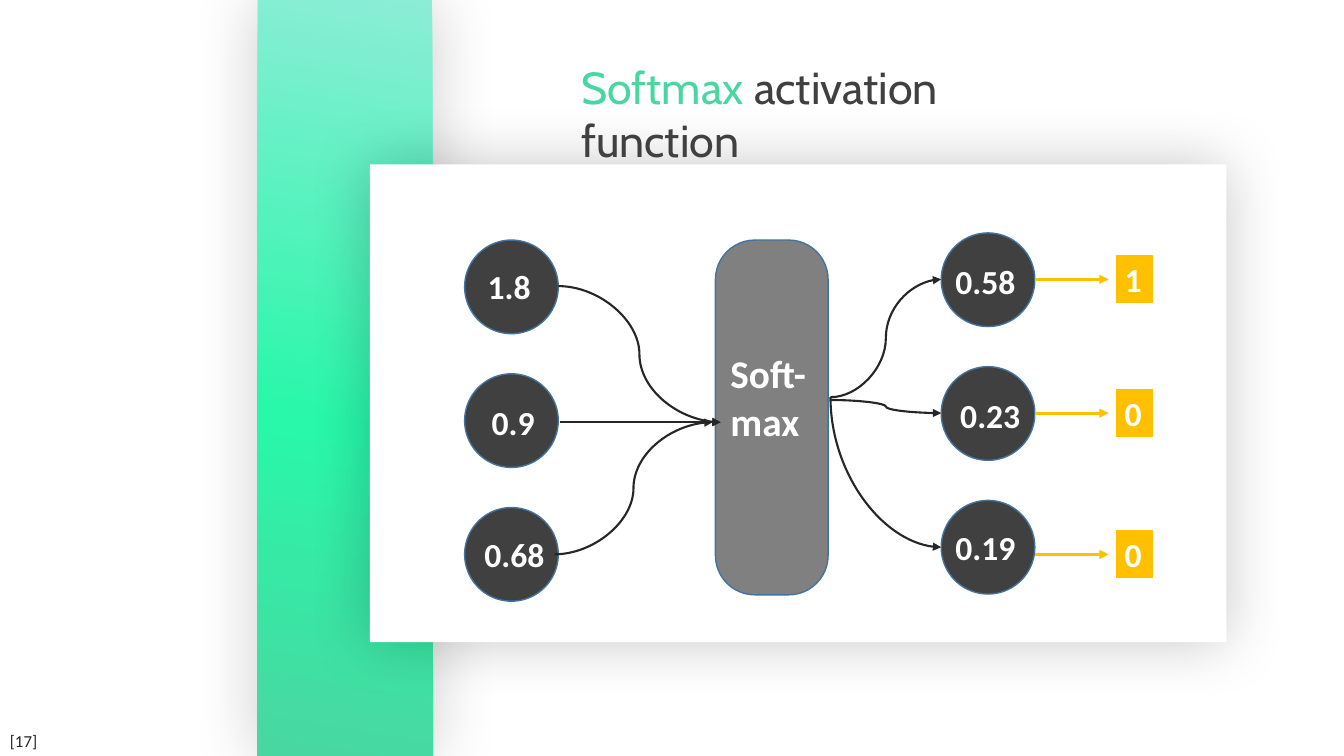
from dataclasses import dataclass

from lxml import etree
from pptx import Presentation
from pptx.dml.color import RGBColor
from pptx.enum.shapes import MSO_CONNECTOR, MSO_SHAPE
from pptx.enum.text import MSO_ANCHOR, MSO_AUTO_SIZE, PP_ALIGN
from pptx.oxml.ns import qn
from pptx.shapes.autoshape import Shape
from pptx.shapes.connector import Connector
from pptx.slide import Slide
from pptx.util import Cm, Pt

RECTANGLE = MSO_SHAPE.RECTANGLE
ROUNDED = MSO_SHAPE.ROUNDED_RECTANGLE
OVAL = MSO_SHAPE.OVAL
STRAIGHT = MSO_CONNECTOR.STRAIGHT
CURVE = MSO_CONNECTOR.CURVE
GROW = MSO_AUTO_SIZE.SHAPE_TO_FIT_TEXT
TOP = MSO_ANCHOR.TOP
LEFT = PP_ALIGN.LEFT


@dataclass(frozen=True)
class Theme:
    white: str = "FFFFFF"
    dark: str = "404040"
    ink: str = "262626"
    grey: str = "808080"
    outline: str = "43739E"
    green: str = "49D7A1"
    amber: str = "FFC000"
    shadow: str = "000000"
    band_stops: tuple[tuple[int, str], ...] = ((0, "8BEDD6"), (56, "29F7A9"), (100, "49D7A1"))
    title_font: str = "Cabin"
    body_font: str = "Calibri"
    title_size: int = 32
    block_size: int = 28
    value_size: int = 24
    note_size: int = 12


THEME = Theme()


@dataclass(frozen=True)
class Box:
    left: float
    top: float
    width: float
    height: float


@dataclass(frozen=True)
class Span:
    text: str
    size: int
    color: str
    font: str = THEME.body_font
    bold: bool = False


@dataclass(frozen=True)
class Arrow:
    start: tuple[float, float]
    end: tuple[float, float]
    color: str = THEME.ink
    weight: float = 1.5
    kind: MSO_CONNECTOR = CURVE


NODE_SIZE = 2.36
NODE_STEP = 3.37
VALUE_HEIGHT = 1.27
INPUT_CORNER = (11.71, 6.05)
OUTPUT_CORNER = (23.72, 5.87)

# Text, left, top and width of each value
VALUES = (
    ("1.8", 12.04, 6.58, 1.96),
    ("0.9", 12.14, 10.01, 1.96),
    ("0.68", 11.96, 13.34, 2.03),
    ("0.58", 23.83, 6.45, 2.34),
    ("0.23", 23.95, 9.83, 2.24),
    ("0.19", 23.83, 13.16, 2.26),
)
# Text and arrow height of each one-hot result
RESULTS = (("1", 7.04), ("0", 10.41), ("0", 13.97))

ARROWS = (
    Arrow((14.07, 7.21), (18.16, 10.64)),
    Arrow((14.1, 10.64), (18.16, 10.64), kind=STRAIGHT),
    Arrow((13.97, 13.97), (17.96, 10.64)),
    Arrow((20.93, 10.01), (23.72, 7.04)),
    Arrow((20.93, 10.08), (23.72, 10.41)),
)
BEND = Arrow((20.93, 10.01), (23.72, 13.79))


def rgb(color: str) -> RGBColor:
    return RGBColor.from_string(color)


def add_block(page: Slide, kind: MSO_SHAPE, box: Box, fill: str,
              line: str | None = None, weight: float = 1) -> Shape:
    block = page.shapes.add_shape(kind, Cm(box.left), Cm(box.top), Cm(box.width), Cm(box.height))
    block.shadow.inherit = False
    block.fill.solid()
    block.fill.fore_color.rgb = rgb(fill)
    if line is None:
        block.line.fill.background()
    else:
        block.line.color.rgb = rgb(line)
        block.line.width = Pt(weight)
    return block


def write(block: Shape, *spans: Span) -> None:
    frame = block.text_frame
    frame.word_wrap = True
    frame.auto_size = GROW
    frame.vertical_anchor = TOP
    para = frame.paragraphs[0]
    para.alignment = LEFT
    for span in spans:
        run = para.add_run()
        run.text = span.text
        run.font.name = span.font
        run.font.size = Pt(span.size)
        run.font.bold = span.bold
        run.font.color.rgb = rgb(span.color)


def add_label(page: Slide, box: Box, *spans: Span) -> None:
    label = page.shapes.add_textbox(Cm(box.left), Cm(box.top), Cm(box.width), Cm(box.height))
    write(label, *spans)


def value_span(text: str, size: int = THEME.value_size) -> Span:
    return Span(text, size, THEME.white, bold=True)


def add_glow(block: Shape, blur: int, opacity: int) -> None:
    """Give the block a soft shadow spreading evenly on all sides."""
    effects = block.element.spPr.find(qn("a:effectLst"))
    shadow = etree.SubElement(effects, qn("a:outerShdw"), blurRad=str(Pt(blur)),
                              dist="0", dir="0", algn="ctr", rotWithShape="0")
    color = etree.SubElement(shadow, qn("a:srgbClr"), val=THEME.shadow)
    etree.SubElement(color, qn("a:alpha"), val=str(opacity * 1000))


def add_band(page: Slide) -> None:
    band = add_block(page, RECTANGLE, Box(6.5, 0, 4.39, 19.05), THEME.green)
    band.fill.gradient()
    band.fill.gradient_angle = 280
    properties = band.element.spPr
    properties.find(qn("a:xfrm")).set("flipH", "1")
    stops = properties.find(qn("a:gradFill")).find(qn("a:gsLst"))
    for stop in list(stops):
        stops.remove(stop)
    for position, color in THEME.band_stops:
        stop = etree.SubElement(stops, qn("a:gs"), pos=str(position * 1000))
        etree.SubElement(stop, qn("a:srgbClr"), val=color)
    add_glow(band, 48, 20)


def add_arrow(page: Slide, arrow: Arrow) -> Connector:
    link = page.shapes.add_connector(arrow.kind, *(Cm(v) for v in arrow.start + arrow.end))
    link.line.color.rgb = rgb(arrow.color)
    link.line.width = Pt(arrow.weight)
    properties = link.element.spPr
    etree.SubElement(properties.find(qn("a:ln")), qn("a:tailEnd"), type="triangle")
    etree.SubElement(properties, qn("a:effectLst"))
    return link


def add_bend(page: Slide, arrow: Arrow) -> None:
    """Draw a single-bend curve that leaves downwards and arrives sideways."""
    link = add_arrow(page, arrow)
    center_x, center_y = link.left + link.width // 2, link.top + link.height // 2
    link.width, link.height = link.height, link.width
    link.left, link.top = center_x - link.width // 2, center_y - link.height // 2
    link.rotation = 270
    properties = link.element.spPr
    properties.find(qn("a:xfrm")).set("flipH", "1")
    properties.find(qn("a:prstGeom")).set("prst", "curvedConnector2")


def main() -> None:
    deck = Presentation()
    deck.slide_width, deck.slide_height = Cm(33.87), Cm(19.05)
    page = deck.slides.add_slide(deck.slide_layouts[6])

    add_band(page)
    panel = add_block(page, RECTANGLE, Box(9.32, 4.14, 21.59, 12.04), THEME.white)
    add_glow(panel, 45, 21)
    add_label(page, Box(14.4, 1.37, 13.03, 1.63),
              Span("Softmax", THEME.title_size, THEME.green, THEME.title_font),
              Span(" activation function", THEME.title_size, THEME.dark, THEME.title_font))
    add_label(page, Box(0, 18.29, 1.32, 0.76), Span("[17]", THEME.note_size, THEME.ink))

    for left, top in (INPUT_CORNER, OUTPUT_CORNER):
        for row in range(3):
            node = Box(left, top + row * NODE_STEP, NODE_SIZE, NODE_SIZE)
            add_block(page, OVAL, node, THEME.dark, THEME.outline)
    softmax = add_block(page, ROUNDED, Box(18.03, 6.05, 2.84, 8.94), THEME.grey, THEME.outline)
    softmax.adjustments[0] = 0.35

    for text, left, top, width in VALUES:
        add_label(page, Box(left, top, width, VALUE_HEIGHT), value_span(text))
    add_label(page, Box(18.16, 8.69, 2.77, 2.64), value_span("Soft- max", THEME.block_size))

    for arrow in ARROWS:
        add_arrow(page, arrow)
    add_bend(page, BEND)
    for text, middle in RESULTS:
        add_arrow(page, Arrow((26.09, middle), (27.94, middle), THEME.amber, 2.25, STRAIGHT))
        badge = Box(28.09, middle - VALUE_HEIGHT / 2, 0.99, VALUE_HEIGHT)
        write(add_block(page, RECTANGLE, badge, THEME.amber, THEME.white, 1.5), value_span(text))

    deck.save("out.pptx")


if __name__ == "__main__":
    main()
